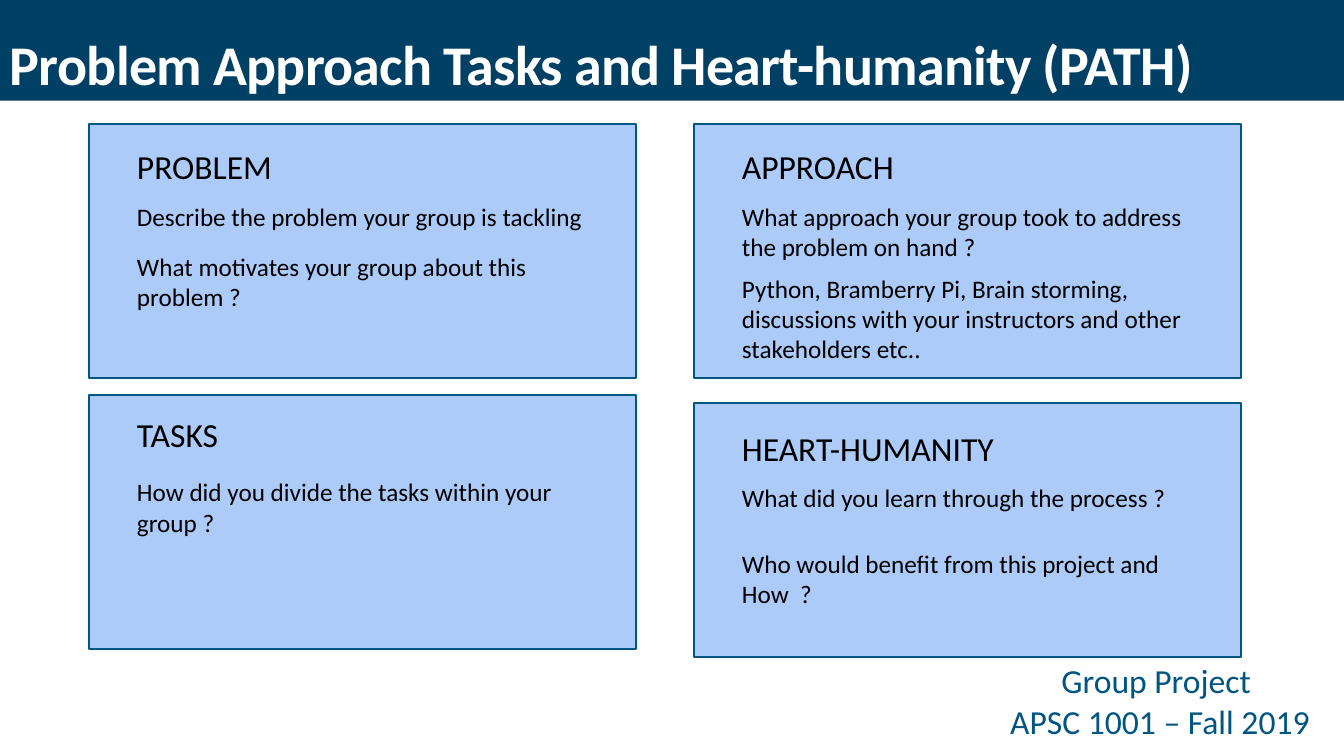
from lxml.etree import SubElement
from pptx import Presentation
from pptx.dml.color import RGBColor
from pptx.enum.shapes import MSO_SHAPE as Preset
from pptx.enum.text import MSO_ANCHOR as Anchor, PP_ALIGN as Align
from pptx.util import Inches, Pt

NAVY = RGBColor(0x00, 0x40, 0x65)
BLUE = RGBColor(0x00, 0x55, 0x81)
PALE_BLUE = RGBColor(0xAC, 0xCB, 0xF9)
WHITE = RGBColor(0xFF, 0xFF, 0xFF)
BLACK = RGBColor(0x00, 0x00, 0x00)

SLIDE_WIDTH, SLIDE_HEIGHT = 13.33, 7.5
CARD_WIDTH, CARD_HEIGHT = 5.43, 2.52
TEXT_INDENT, QUESTION_WIDTH = 0.38, 4.65

CARDS = [
    (0.88, 1.23, "PROBLEM", 0.17, [
        (0.72, 0.4, "Describe the problem your group is tackling"),
        (1.21, 0.71, "What motivates your group about this problem ?")]),
    (6.88, 1.23, "APPROACH", 0.17, [
        (0.72, 0.71, "What approach your group took to address the problem on hand ?"),
        (1.43, 1.01, "Python, Bramberry Pi, Brain storming, discussions with your "
                     "instructors and other stakeholders etc..")]),
    (0.88, 3.92, "TASKS", 0.14, [
        (0.76, 0.71, "How did you divide the tasks within your group ?")]),
    (6.88, 4.0, "HEART-HUMANITY", 0.2, [
        (0.74, 0.4, "What did you learn through the process ?"),
        (1.39, 0.71, "Who would benefit from this project and How  ?")]),
]


def add_text(slide, box, text, size=18, color=BLACK, bold=None, align=Align.LEFT,
             anchor=Anchor.TOP, wrap=True, line_spacing=None, tracking=None):
    """Add a text box with one paragraph per line of text."""
    frame = slide.shapes.add_textbox(*map(Inches, box)).text_frame
    frame.word_wrap = wrap
    frame.vertical_anchor = anchor
    frame.text = text
    for paragraph in frame.paragraphs:
        paragraph.alignment = align
        paragraph.line_spacing = line_spacing
        for run in paragraph.runs:
            font = run.font
            font.name, font.size, font.bold = "Calibri", Pt(size), bold
            font.color.rgb = color
            if tracking:
                run._r.get_or_add_rPr().set("spc", str(round(tracking * 100)))


def add_panel(slide, box, fill, line=None):
    """Add a flat rectangle, outlined when a line colour is given."""
    panel = slide.shapes.add_shape(Preset.RECTANGLE, *map(Inches, box))
    panel.shadow.inherit = False
    panel.fill.solid()
    panel.fill.fore_color.rgb = fill
    if line is None:
        panel.line.fill.background()
    else:
        panel.line.color.rgb = line
        panel.line.width = Pt(1.25)


def add_header(slide, left, top, width, height):
    """Add the title band and its title."""
    add_panel(slide, (left, top, width, height), NAVY)
    add_text(slide, (left, top - 0.03, width, height + 0.04),
             "Problem Approach Tasks and Heart-humanity (PATH)", size=40, color=WHITE,
             bold=True, anchor=Anchor.BOTTOM, line_spacing=0.85, tracking=-0.5)


def add_card(slide, left, top, heading, heading_offset, questions):
    """Add a card with its heading and questions."""
    add_panel(slide, (left, top, CARD_WIDTH, CARD_HEIGHT), PALE_BLUE, BLUE)
    text_left = left + TEXT_INDENT
    add_text(slide, (text_left, top + heading_offset, 2.96, 0.5), heading, size=24)
    for offset, height, question in questions:
        add_text(slide, (text_left, top + offset, QUESTION_WIDTH, height), question)


def add_footer(slide, left, top, width, height):
    """Add the course label."""
    add_text(slide, (left, top, width, height), "Group Project \nAPSC 1001 – Fall 2019",
             size=24, color=BLUE, align=Align.CENTER, wrap=False)


def main():
    """Build and save the slide."""
    deck = Presentation()
    deck.slide_width, deck.slide_height = Inches(SLIDE_WIDTH), Inches(SLIDE_HEIGHT)
    slide = deck.slides.add_slide(deck.slide_layouts[6])
    add_header(slide, 0, 0, SLIDE_WIDTH, 1)
    add_footer(slide, 9.91, 6.5, 3.19, 0.91)
    for card in CARDS:
        add_card(slide, *card)
    deck.save("out.pptx")


if __name__ == "__main__":
    main()
